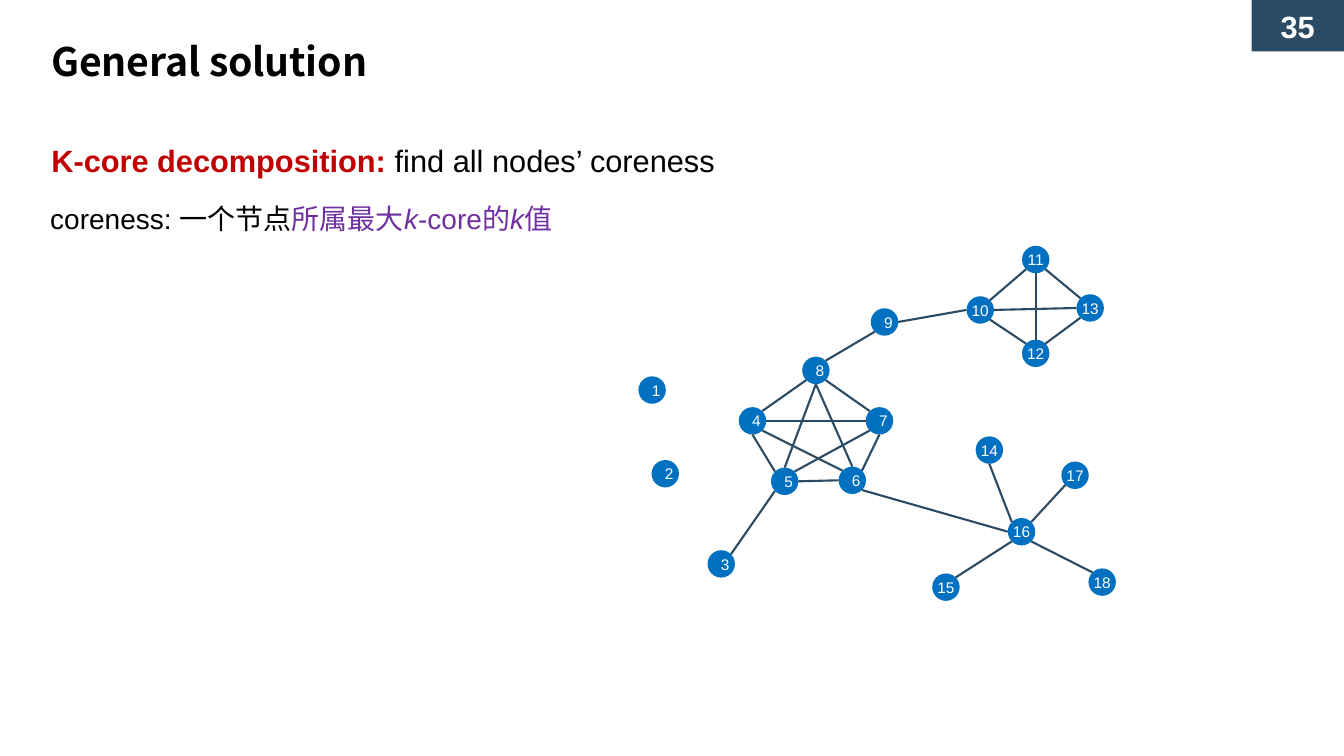
from dataclasses import dataclass
from math import cos, radians, sin

from lxml import etree
from pptx import Presentation
from pptx import util as u
from pptx.dml.color import RGBColor
from pptx.enum import shapes, text
from pptx.oxml import ns


@dataclass
class Theme:
    """Colours, fonts and type sizes."""
    navy: str = "2B4A63"
    blue: str = "0070C0"
    red: str = "C00000"
    plum: str = "7030A0"
    black: str = "000000"
    white: str = "FFFFFF"
    sans: str = "Arial"
    han: str = "Noto Sans CJK SC"
    head: int = 28
    lead: int = 22
    note: int = 20
    tag: int = 11


SITES = ("N", "NW", "W", "SW", "S", "SE", "E", "NE")
SIZE = 19.6


class Deck:
    """The style, the current slide and its elements."""

    def __init__(self, theme):
        """Open a blank wide slide."""
        self.theme = theme
        self.prs = Presentation()
        self.prs.slide_width, self.prs.slide_height = u.Pt(960), u.Pt(540)
        self.slide = self.prs.slides.add_slide(self.prs.slide_layouts[1])
        self.nodes = {}

    def place(self, shape, x, y, w, h):
        """Set the frame of a shape."""
        shape.left, shape.top = u.Pt(x), u.Pt(y)
        shape.width, shape.height = u.Pt(w), u.Pt(h)

    def fill(self, frame, runs, size, align=text.PP_ALIGN.LEFT):
        """Fill a frame with runs of (words, colour, bold, italic)."""
        frame.auto_size = text.MSO_AUTO_SIZE.NONE
        para = frame.paragraphs[0]
        para.alignment = align
        para.space_before = u.Pt(0)
        for words, color, bold, slant in runs:
            run = para.add_run()
            run.text = words
            font = run.font
            font.name, font.size = self.theme.sans, u.Pt(size)
            font.bold, font.italic = bold, slant
            font.color.rgb = RGBColor.from_string(color)
            east = etree.SubElement(run._r.get_or_add_rPr(), ns.qn("a:ea"))
            east.set("typeface", self.theme.han)
        return para

    def title(self, words, x, y, w, h):
        """Fill the title placeholder."""
        shape = self.slide.shapes.title
        self.place(shape, x, y, w, h)
        frame = shape.text_frame
        frame.margin_left = frame.margin_right = 0
        frame.margin_top = frame.margin_bottom = 0
        frame.vertical_anchor = text.MSO_ANCHOR.TOP
        para = self.fill(frame, [(words, self.theme.black, True, False)],
                         self.theme.head)
        para.line_spacing = 0.9
        run = para.runs[0]
        run.font.name = self.theme.han
        run._r.get_or_add_rPr().set("spc", "-10")

    def body(self, runs, x, y, w, h):
        """Fill the body placeholder with one plain line."""
        shape = self.slide.placeholders[1]
        self.place(shape, x, y, w, h)
        para = self.fill(shape.text_frame, runs, self.theme.lead)
        props = para._p.get_or_add_pPr()
        props.set("marL", "0")
        props.set("indent", "0")
        etree.SubElement(props, ns.qn("a:buNone"))

    def label(self, runs, x, y, w, h):
        """Add a text box."""
        box = self.slide.shapes.add_textbox(*map(u.Pt, (x, y, w, h)))
        box.text_frame.word_wrap = True
        para = self.fill(box.text_frame, runs, self.theme.note)
        para.line_spacing = 0.9

    def block(self, kind, words, color, size, bold, x, y, w, h):
        """Add a filled shape with a centred label."""
        shape = self.slide.shapes.add_shape(kind, *map(u.Pt, (x, y, w, h)))
        shape.shadow.inherit = False
        shape.fill.solid()
        shape.fill.fore_color.rgb = RGBColor.from_string(color)
        shape.line.fill.background()
        frame = shape.text_frame
        frame.word_wrap = False
        frame.margin_left = frame.margin_right = 0
        frame.margin_top = frame.margin_bottom = 0
        frame.vertical_anchor = text.MSO_ANCHOR.MIDDLE
        self.fill(frame, [(words, self.theme.white, bold, False)], size,
                  text.PP_ALIGN.CENTER)
        return shape

    def node(self, num, x, y):
        """Add a numbered graph node centred on a point."""
        shape = self.block(shapes.MSO_SHAPE.OVAL, str(num), self.theme.blue,
                           self.theme.tag, False, x - SIZE / 2, y - SIZE / 2,
                           SIZE, SIZE)
        if num < 10:
            shape.text_frame.margin_left = u.Pt(5.7)
        self.nodes[num] = (shape, x, y)

    def edge(self, a, start, b, end):
        """Join two nodes at the named sites on their rims."""
        ends, glue = [], []
        for tag, num, side in (("a:stCxn", a, start), ("a:endCxn", b, end)):
            shape, x, y = self.nodes[num]
            site = SITES.index(side)
            turn = radians(90 + 45 * site)
            ends += [u.Pt(x + SIZE / 2 * cos(turn)),
                     u.Pt(y - SIZE / 2 * sin(turn))]
            glue.append((tag, shape.shape_id, site))
        line = self.slide.shapes.add_connector(
            shapes.MSO_CONNECTOR.STRAIGHT, *ends)
        line.line.color.rgb = RGBColor.from_string(self.theme.navy)
        line.line.width = u.Pt(1.5)
        etree.SubElement(line._element.spPr, ns.qn("a:effectLst"))
        props = line._element.find(".//" + ns.qn("p:cNvCxnSpPr"))
        for tag, num, site in glue:
            etree.SubElement(props, ns.qn(tag), id=str(num), idx=str(site))


NODES = {
    1: (465.8, 278.6), 2: (475.2, 338.4), 3: (515.2, 402.8),
    4: (537.5, 300.6), 5: (560.5, 343.8), 6: (608.8, 343.1),
    7: (628.2, 300.6), 8: (582.8, 264.6), 9: (631.8, 230),
    10: (700.2, 221.4), 11: (739.8, 185.4), 12: (739.8, 252.4),
    13: (778.7, 220), 14: (706.7, 321.5), 15: (675.7, 419.4),
    16: (729.7, 379.8), 17: (767.9, 339.5), 18: (787.3, 415.8),
}
EDGES = [
    (4, "NE", 8, "SW"), (7, "NW", 8, "SE"), (5, "N", 8, "S"),
    (6, "N", 8, "S"), (6, "NW", 4, "SE"), (7, "W", 4, "E"),
    (7, "SW", 5, "NE"), (7, "S", 6, "NE"), (4, "S", 5, "NW"),
    (5, "E", 6, "W"), (11, "SW", 10, "NE"), (11, "SE", 13, "NW"),
    (11, "S", 12, "N"), (12, "NW", 10, "SE"), (13, "SW", 12, "NE"),
    (13, "W", 10, "E"), (10, "W", 9, "E"), (9, "SW", 8, "NE"),
    (16, "W", 6, "SE"), (16, "NW", 14, "S"), (16, "NE", 17, "SW"),
    (16, "SW", 15, "NE"), (18, "NW", 16, "SE"), (3, "NE", 5, "SW"),
]


def main():
    """Build and save the slide."""
    look = Theme()
    deck = Deck(look)
    deck.block(shapes.MSO_SHAPE.RECTANGLE, "35", look.navy, look.lead, True,
               894, 0, 66, 36.7)
    deck.title("General solution", 36.7, 30.2, 725, 34.6)
    deck.body([("K-core decomposition: ", look.red, True, False),
               ("find all nodes’ coreness", look.black, False, False)],
              29.5, 97.4, 861, 33.8)
    deck.label([("coreness: 一个节点", look.black, False, False),
                ("所属最大", look.plum, False, False),
                ("k", look.plum, False, True),
                ("-core的", look.plum, False, False),
                ("k", look.plum, False, True),
                ("值", look.plum, False, False)], 28.8, 143.3, 427, 31.7)
    for num, spot in NODES.items():
        deck.node(num, *spot)
    for link in EDGES:
        deck.edge(*link)
    deck.prs.save("out.pptx")


if __name__ == "__main__":
    main()
